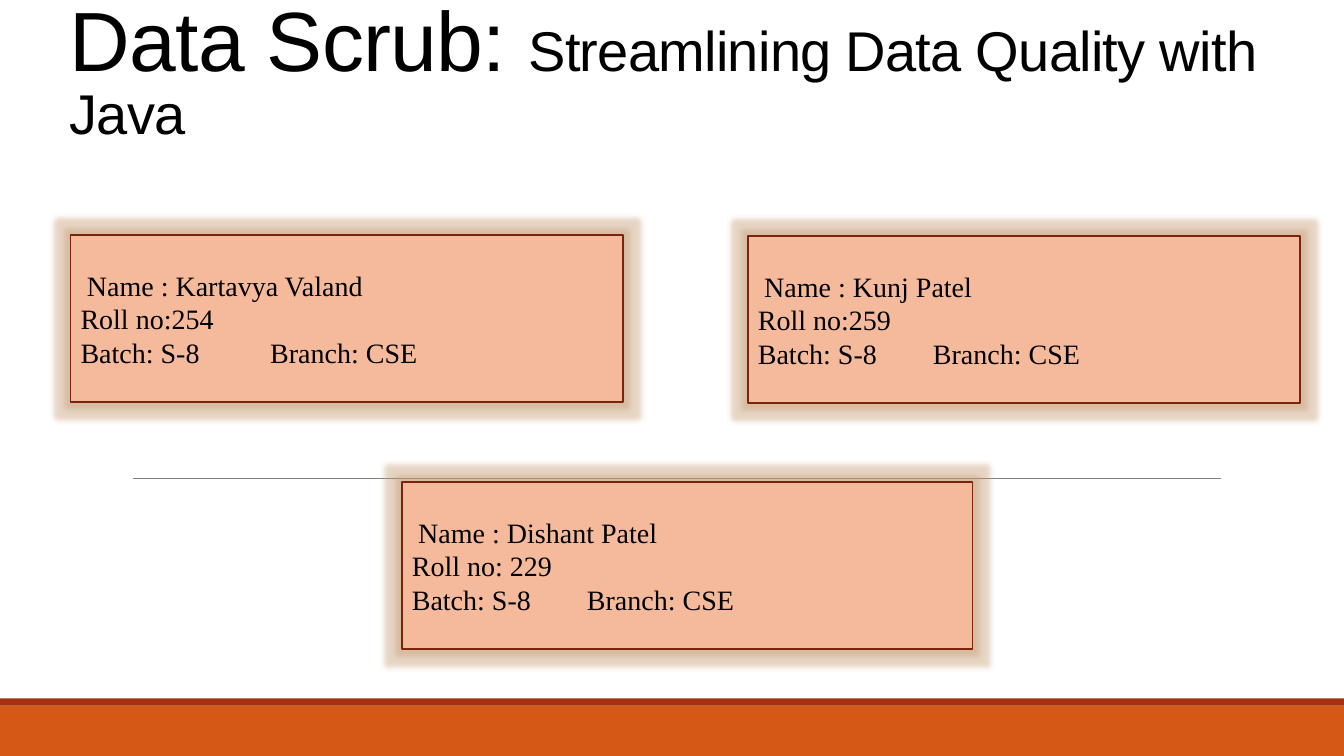
from dataclasses import dataclass

from lxml import etree
from pptx import Presentation
from pptx import util as u
from pptx.dml.color import RGBColor
from pptx.enum import shapes, text
from pptx.oxml import ns

BLACK = RGBColor(0x00, 0x00, 0x00)
GRAY = RGBColor(0x80, 0x80, 0x80)
ORANGE = RGBColor(0xD5, 0x58, 0x16)
RUST = RGBColor(0xA5, 0x30, 0x0F)
PEACH = RGBColor(0xF5, 0xBA, 0x9B)
BROWN = RGBColor(0x7A, 0x24, 0x0B)
TAN = RGBColor(0xC3, 0x98, 0x6D)

SLIDE_W = u.Cm(33.87)
SLIDE_H = u.Cm(19.05)
CARD_H = u.Cm(4.22)
NAME_INDENT = u.Cm(0.16)


@dataclass
class Band:
    top: float
    height: float
    color: RGBColor


@dataclass
class StudentCard:
    left: float
    top: float
    width: float
    branch_tab: float
    name: str
    roll: str


BANDS = [Band(17.78, 1.27, ORANGE), Band(17.6, 0.18, RUST)]

CARDS = [
    StudentCard(1.78, 5.92, 13.92, 4.78, "Kartavya Valand", "254"),
    StudentCard(18.85, 5.94, 13.92, 4.41, "Kunj Patel", "259"),
    StudentCard(10.13, 12.14, 14.38, 4.41, "Dishant Patel", " 229"),
]


def add_rect(s, left: int, top: int, width: int, height: int, fill: RGBColor):
    sp = s.shapes.add_shape(shapes.MSO_SHAPE.RECTANGLE, left, top, width, height)
    sp.shadow.inherit = False
    sp.fill.solid()
    sp.fill.fore_color.rgb = fill
    sp.line.fill.background()
    return sp


def add_band(s, band: Band) -> None:
    add_rect(s, 0, u.Cm(band.top), SLIDE_W, u.Cm(band.height), band.color)


def add_rule(s) -> None:
    y = u.Cm(12.06)
    line = s.shapes.add_connector(
        shapes.MSO_CONNECTOR.STRAIGHT, u.Cm(3.35), y, u.Cm(30.78), y)
    line.line.color.rgb = GRAY
    line.line.width = u.Pt(0.5)
    etree.SubElement(line._element.spPr, ns.qn("a:effectLst"))


def add_title(s) -> None:
    title = s.shapes.title
    title.left, title.top = u.Cm(1.5), u.Cm(-2.82)
    title.width, title.height = u.Cm(31.95), u.Cm(6.63)
    tf = title.text_frame
    tf.word_wrap = True
    tf.auto_size = text.MSO_AUTO_SIZE.NONE
    tf.vertical_anchor = text.MSO_ANCHOR.BOTTOM
    p = tf.paragraphs[0]
    p.alignment = text.PP_ALIGN.LEFT
    p.line_spacing = 0.85
    p.font.name = "Arial"
    p.font.color.rgb = BLACK
    for words, size in (("Data Scrub: ", 60),
                        ("Streamlining Data Quality with Java", 40)):
        r = p.add_run()
        r.text = words
        r.font.size = u.Pt(size)
        r._r.get_or_add_rPr().set("spc", "-50")


def add_glow(sp) -> None:
    effects = sp._element.spPr.find(ns.qn("a:effectLst"))
    glow = etree.SubElement(effects, ns.qn("a:glow"), rad=str(u.Pt(8)))
    color = etree.SubElement(glow, ns.qn("a:srgbClr"), val=str(TAN))
    etree.SubElement(color, ns.qn("a:alpha"), val="40000")


def add_card(s, card: StudentCard) -> None:
    sp = add_rect(s, u.Cm(card.left), u.Cm(card.top), u.Cm(card.width), CARD_H, PEACH)
    sp.line.color.rgb = BROWN
    sp.line.width = u.Pt(1.25)
    add_glow(sp)
    tf = sp.text_frame
    tf.word_wrap = True
    tf.vertical_anchor = text.MSO_ANCHOR.MIDDLE
    tf.text = (f"Name : {card.name}\nRoll no:{card.roll}\n"
               "Batch: S-8\tBranch: CSE")
    for p in tf.paragraphs:
        p.alignment = text.PP_ALIGN.LEFT
        p.font.name = "Times New Roman"
        p.font.size = u.Pt(20)
        p.font.color.rgb = BLACK
    name, _, batch = tf.paragraphs
    name._p.get_or_add_pPr().set("indent", str(NAME_INDENT))
    tabs = etree.Element(ns.qn("a:tabLst"))
    etree.SubElement(tabs, ns.qn("a:tab"), pos=str(u.Cm(card.branch_tab)), algn="l")
    batch._p.get_or_add_pPr().insert(0, tabs)


def main() -> None:
    prs = Presentation()
    prs.slide_width, prs.slide_height = SLIDE_W, SLIDE_H
    s = prs.slides.add_slide(prs.slide_layouts[5])
    for band in BANDS:
        add_band(s, band)
    add_rule(s)
    add_title(s)
    for card in CARDS:
        add_card(s, card)
    prs.save("out.pptx")


if __name__ == "__main__":
    main()
